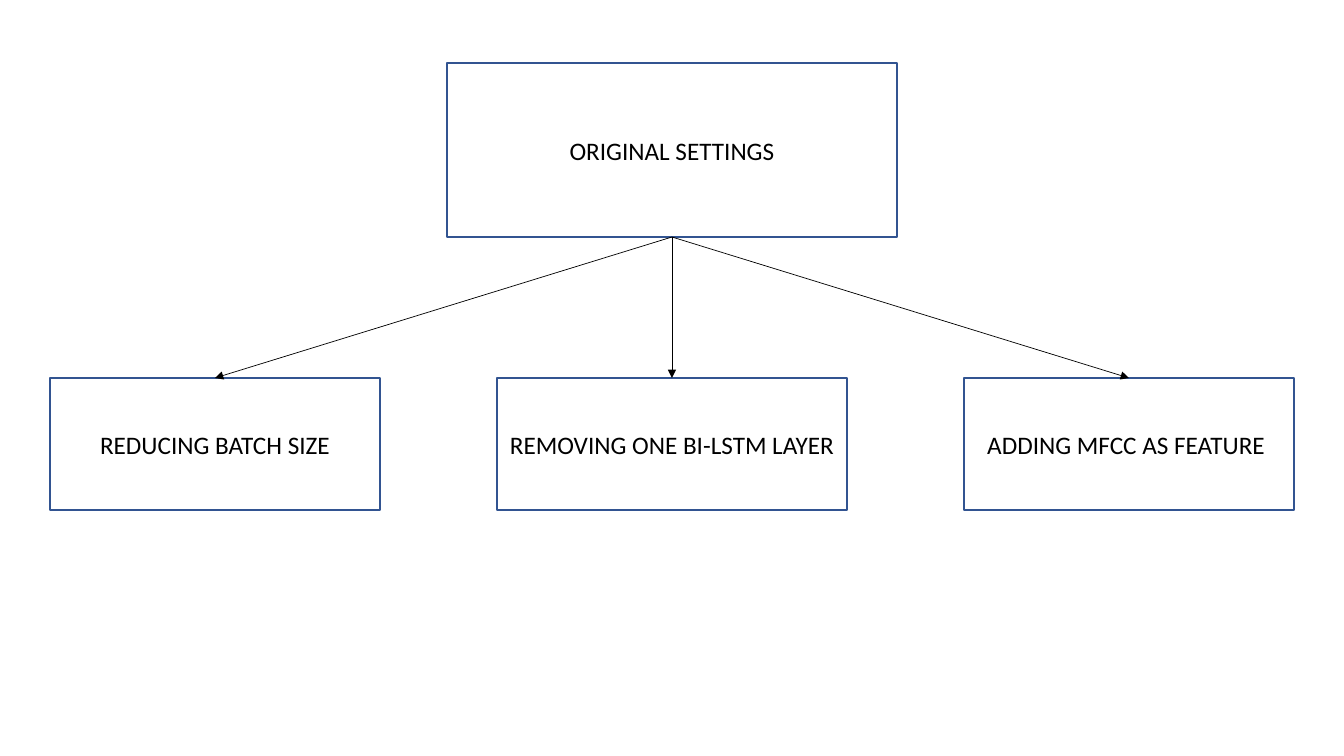
from dataclasses import dataclass

from lxml import etree
from pptx import Presentation
from pptx.dml.color import RGBColor
from pptx.enum.shapes import MSO_CONNECTOR, MSO_SHAPE
from pptx.enum.text import MSO_ANCHOR, PP_ALIGN
from pptx.oxml.ns import qn
from pptx.util import Pt

RECT = MSO_SHAPE.RECTANGLE
STRAIGHT = MSO_CONNECTOR.STRAIGHT
MIDDLE = MSO_ANCHOR.MIDDLE
CENTER = PP_ALIGN.CENTER

ROOT = ("ORIGINAL SETTINGS", 450)
VARIANTS = [
    ("REDUCING BATCH SIZE", 330),
    ("REMOVING ONE BI-LSTM LAYER", 350),
    ("ADDING MFCC AS FEATURE ", 330),
]

SLIDE_W, SLIDE_H = 1344, 756
ROOT_TOP, ROOT_H = 63, 174
VARIANT_TOP, VARIANT_H = 378, 132
VARIANT_PITCH = 457


@dataclass(frozen=True)
class Theme:
    font: str = "Calibri"
    size: int = 18
    text: RGBColor = RGBColor(0, 0, 0)
    fill: RGBColor = RGBColor(255, 255, 255)
    border: RGBColor = RGBColor(0x32, 0x54, 0x91)
    border_pt: float = 1
    arrow: RGBColor = RGBColor(0, 0, 0)
    arrow_pt: float = 0.5


THEME = Theme()


def px(n):
    return round(n * 914400 / 100.8)


def add_box(s, text, center, top, width, height):
    sp = s.shapes.add_shape(
        RECT, px(center - width / 2), px(top), px(width), px(height))
    sp.shadow.inherit = False
    sp.fill.solid()
    sp.fill.fore_color.rgb = THEME.fill
    sp.line.color.rgb = THEME.border
    sp.line.width = Pt(THEME.border_pt)
    tf = sp.text_frame
    tf.word_wrap = True
    tf.vertical_anchor = MIDDLE
    p = tf.paragraphs[0]
    p.alignment = CENTER
    r = p.add_run()
    r.text = text
    r.font.name = THEME.font
    r.font.size = Pt(THEME.size)
    r.font.color.rgb = THEME.text
    return sp


def add_arrow(s, parent, child):
    cx = s.shapes.add_connector(STRAIGHT, 0, 0, 0, 0)
    cx.begin_connect(parent, 2)
    cx.end_connect(child, 0)
    cx.line.color.rgb = THEME.arrow
    cx.line.width = Pt(THEME.arrow_pt)
    ln = cx.line._get_or_add_ln()
    etree.SubElement(ln, qn("a:tailEnd"), type="triangle")
    etree.SubElement(cx._element.spPr, qn("a:effectLst"))


def main():
    prs = Presentation()
    prs.slide_width, prs.slide_height = px(SLIDE_W), px(SLIDE_H)
    s = prs.slides.add_slide(prs.slide_layouts[6])
    middle = SLIDE_W / 2
    text, width = ROOT
    root = add_box(s, text, middle, ROOT_TOP, width, ROOT_H)
    variants = []
    for i, (text, width) in enumerate(VARIANTS):
        center = middle + (i - (len(VARIANTS) - 1) / 2) * VARIANT_PITCH
        variants.append(
            add_box(s, text, center, VARIANT_TOP, width, VARIANT_H))
    for variant in variants:
        add_arrow(s, root, variant)
    prs.save("out.pptx")


if __name__ == "__main__":
    main()
